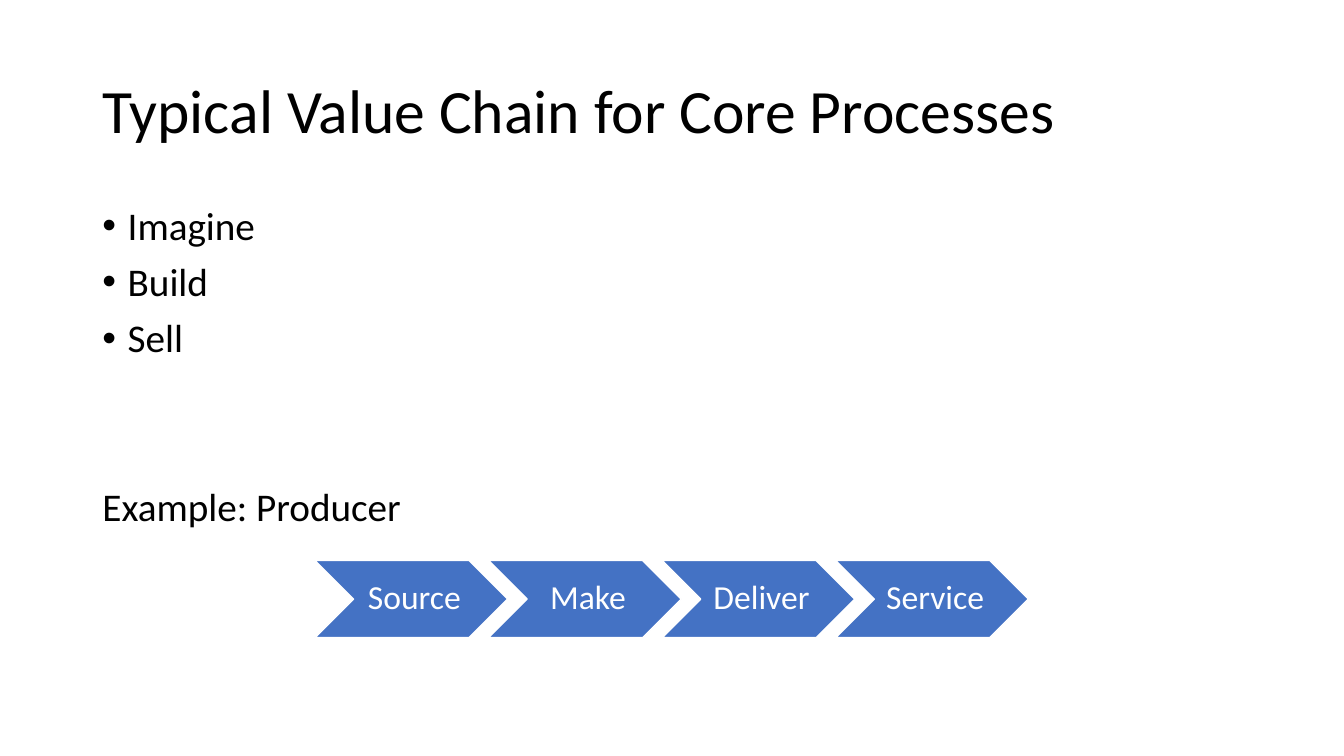
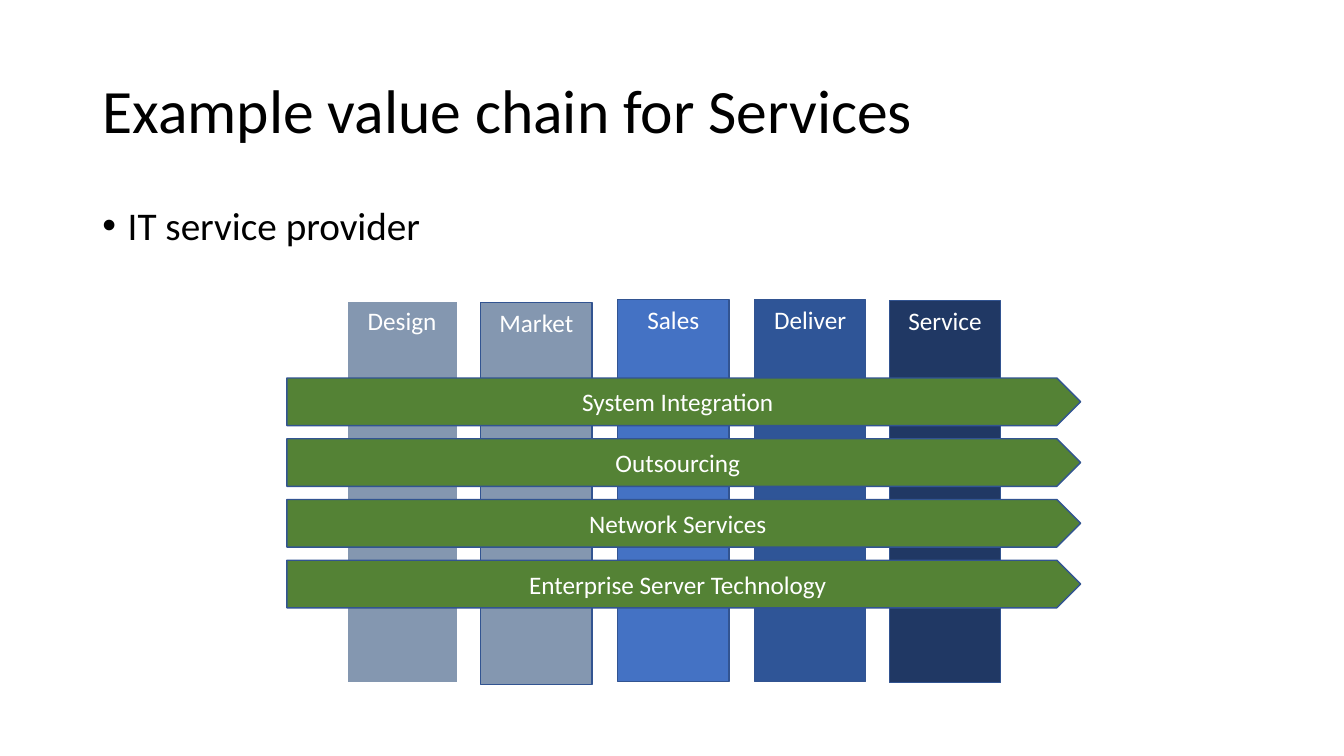
"""Builds two slides on value chains for core processes and services."""
from lxml import etree
from pptx import Presentation
from pptx.dml.color import RGBColor
from pptx.enum import shapes, text
from pptx.oxml import ns
from pptx.util import Pt

FONT = "Calibri"
COLORS = {
    "text": "000000", "white": "FFFFFF", "outline": "325491", "green": "548235",
    "slate": "8497B0", "blue": "4472C4", "deep": "2F5597", "navy": "203864",
}
CORE_TITLE = "Typical Value Chain for Core Processes"
CORE_BULLETS = ["Imagine", "Build", "Sell"]
CORE_EXAMPLE = "Example: Producer"
CORE_STEPS = ["Source", "Make", "Deliver", "Service"]

SERVICE_TITLE = "Example value chain for Services"
SERVICE_BULLETS = ["IT service provider"]
PILLARS = [
    ("Design", "slate", "white", 1.5, 247.5, 214.7),
    ("Market", "slate", "outline", 1, 343.4, 216),
    ("Sales", "blue", "outline", 1, 441.2, 214),
    ("Deliver", "deep", "outline", 1, 539, 214),
    ("Service", "navy", "outline", 1, 635.3, 214.8),
]
OFFERINGS = ["System Integration", "Outsourcing", "Network Services",
             "Enterprise Server Technology"]


def rgb(name):
    return RGBColor.from_string(COLORS[name])


def style(para, size, color, align):
    para.font.name, para.font.size = FONT, Pt(size)
    para.font.color.rgb = rgb(color)
    para.alignment = align


def place(box, left, top, width, height):
    box.left, box.top, box.width, box.height = map(Pt, (left, top, width, height))


def set_bullet(para, bulleted):
    props = para._p.get_or_add_pPr()
    indent = Pt(18) if bulleted else 0
    props.set("marL", str(indent))
    props.set("indent", str(-indent))
    if bulleted:
        etree.SubElement(props, ns.qn("a:buFont"), typeface="Arial")
        etree.SubElement(props, ns.qn("a:buChar"), char="•")
    else:
        etree.SubElement(props, ns.qn("a:buNone"))


def add_page(deck, title, bullets, example=None):
    page = deck.slides.add_slide(deck.slide_layouts[1])
    heading, body = page.shapes.title, page.placeholders[1]
    place(heading, 66, 28.75, 828, 104.4)
    place(body, 66, 143.75, 828, 342.6)
    for box in (heading, body):
        box.text_frame.auto_size = text.MSO_AUTO_SIZE.NONE
    heading.text_frame.vertical_anchor = text.MSO_ANCHOR.MIDDLE
    heading.text_frame.text = title
    para = heading.text_frame.paragraphs[0]
    para.line_spacing = 0.9
    style(para, 44, "text", text.PP_ALIGN.LEFT)

    lines = bullets + ([example] if example else [])
    body.text_frame.text = "\n".join(lines)
    for line, para in zip(lines, body.text_frame.paragraphs):
        style(para, 28, "text", text.PP_ALIGN.LEFT)
        para.line_spacing = 0.9
        para.space_before = Pt(90.5 if line == example else 10)
        set_bullet(para, line != example)
    return page


def add_block(page, kind, bounds, label, fill, line, weight=1, size=18,
              anchor=text.MSO_ANCHOR.MIDDLE):
    box = page.shapes.add_shape(kind, *map(Pt, bounds))
    box.shadow.inherit = False
    box.fill.solid()
    box.fill.fore_color.rgb = rgb(fill)
    box.line.color.rgb = rgb(line)
    box.line.width = Pt(weight)
    frame = box.text_frame
    frame.word_wrap = True
    frame.vertical_anchor = anchor
    frame.text = label
    style(frame.paragraphs[0], size, "white", text.PP_ALIGN.CENTER)
    return box


def build_core(deck):
    page = add_page(deck, CORE_TITLE, CORE_BULLETS, CORE_EXAMPLE)
    for index, step in enumerate(CORE_STEPS):
        bounds = (225 + 124 * index, 400.4, 137.6, 55.1)
        box = add_block(page, shapes.MSO_SHAPE.CHEVRON, bounds, step,
                        "blue", "white", size=24)
        frame = box.text_frame
        frame.margin_left, frame.margin_right = Pt(4.4), 0
        frame.paragraphs[0].line_spacing = 0.9


def build_services(deck):
    page = add_page(deck, SERVICE_TITLE, SERVICE_BULLETS)
    for label, fill, line, weight, left, top in PILLARS:
        add_block(page, shapes.MSO_SHAPE.RECTANGLE, (left, top, 79.4, 272.9),
                  label, fill, line, weight, anchor=text.MSO_ANCHOR.TOP)
    for index, label in enumerate(OFFERINGS):
        bounds = (204.9, 270 + 43.4 * index, 567, 34)
        add_block(page, shapes.MSO_SHAPE.PENTAGON, bounds, label, "green", "outline")


def main():
    deck = Presentation()
    deck.slide_width, deck.slide_height = Pt(960), Pt(540)
    build_core(deck)
    build_services(deck)
    deck.save("out.pptx")


if __name__ == "__main__":
    main()
